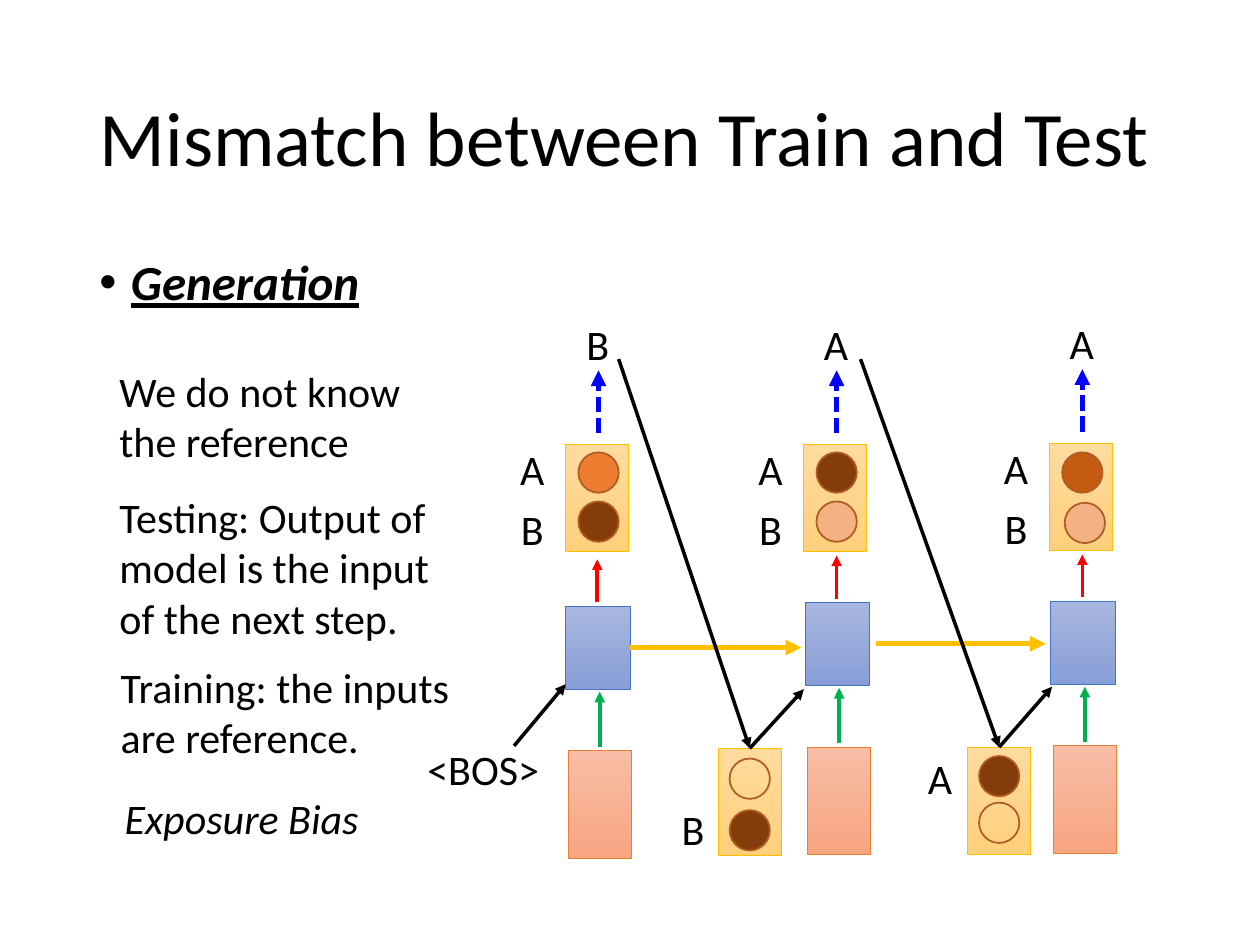
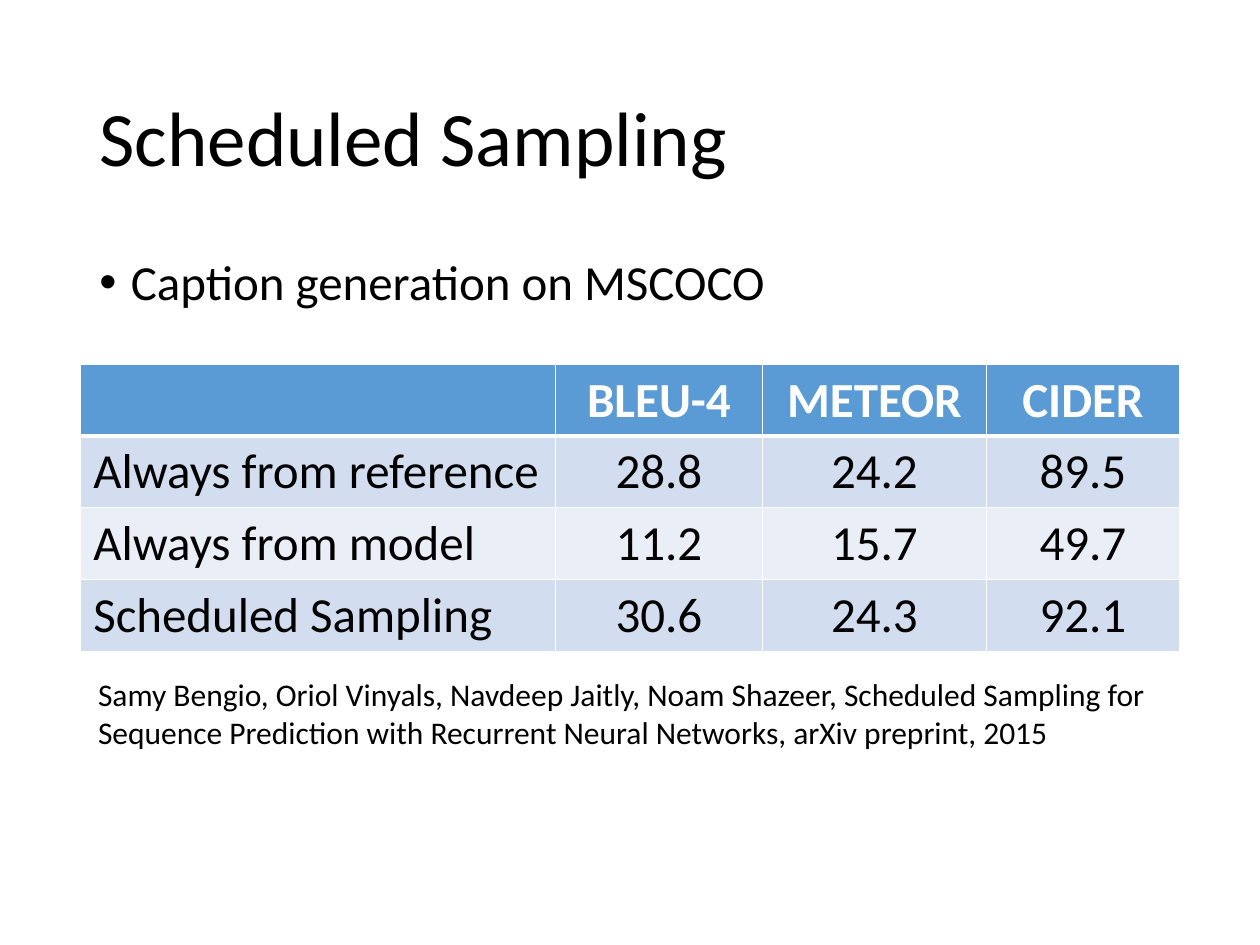
from dataclasses import dataclass

from lxml.etree import SubElement
from pptx import Presentation
from pptx.dml.color import RGBColor
from pptx.enum.dml import MSO_LINE
from pptx.enum.shapes import MSO_CONNECTOR, MSO_SHAPE
from pptx.enum.text import MSO_ANCHOR, MSO_AUTO_SIZE, PP_ALIGN
from pptx.oxml import parse_xml
from pptx.oxml.ns import nsdecls, qn
from pptx.util import Emu, Pt


@dataclass(frozen=True)
class Theme:
    font: str = "Calibri"
    black: str = "000000"
    white: str = "FFFFFF"
    red: str = "FF0000"
    green: str = "00B050"
    gold: str = "FFC000"
    blue: str = "0000FF"
    dark: str = "843C0B"
    rust: str = "C55A11"
    orange: str = "ED7D31"
    peach: str = "F4B183"
    ring: str = "AF5C24"
    token: tuple = ("FFDB9E", "FFD07C", "FFC000")
    cell: tuple = ("A8B7DF", "889ED7", "4472C4")
    source: tuple = ("F7BDA5", "F8A582", "ED7D31")
    header: str = "5B9BD5"
    bands: tuple = ("D2DEEF", "EAEFF7")
    title_size: int = 44
    body_size: int = 28
    text_size: int = 24
    cite_size: int = 18


T = Theme()
SCALE = 9144


def px(*lengths):
    return [Emu(n * SCALE) for n in lengths]


def rgb(colour):
    return RGBColor.from_string(colour)


def style(p, size, colour=T.black, bold=False, italic=False, underline=False):
    for r in p.runs:
        f = r.font
        f.name, f.size, f.color.rgb = T.font, Pt(size), rgb(colour)
        f.bold, f.italic, f.underline = bold, italic, underline


def add_text(s, box, text, size=T.text_size, align=PP_ALIGN.LEFT, wrap=True, **font):
    tf = s.shapes.add_textbox(*px(*box)).text_frame
    tf.word_wrap = wrap
    p = tf.paragraphs[0]
    p.text, p.alignment = text, align
    style(p, size, **font)
    return p


def add_label(s, box, text):
    add_text(s, box, text, align=PP_ALIGN.CENTER)


def add_block(s, box, colours):
    top, bottom, edge = colours
    sp = s.shapes.add_shape(MSO_SHAPE.RECTANGLE, *px(*box))
    sp.shadow.inherit = False
    sp.fill.gradient()
    sp.fill.gradient_angle = 270
    for stop, colour in zip(sp.fill.gradient_stops, (top, bottom)):
        stop.color.rgb = rgb(colour)
    sp.line.color.rgb, sp.line.width = rgb(edge), Pt(0.5)
    return sp


def add_dot(s, x, y, colour):
    sp = s.shapes.add_shape(MSO_SHAPE.OVAL, *px(x, y, 32, 32))
    sp.shadow.inherit = False
    if colour:
        sp.fill.solid()
        sp.fill.fore_color.rgb = rgb(colour)
    else:
        sp.fill.background()
    sp.line.color.rgb, sp.line.width = rgb(T.ring), Pt(1)


def add_arrow(s, start, end, colour=T.black, width=2, dash=None):
    cx = s.shapes.add_connector(MSO_CONNECTOR.STRAIGHT, *px(*start, *end))
    cx.line.color.rgb, cx.line.width = rgb(colour), Pt(width)
    if dash:
        cx.line.dash_style = dash
    SubElement(cx.line._get_or_add_ln(), qn("a:tailEnd"), type="triangle")
    SubElement(cx._element.spPr, qn("a:effectLst"))
    return cx


def add_slide(prs, title, topic, **topic_font):
    s = prs.slides.add_slide(prs.slide_layouts[5])
    sp = s.shapes.title
    sp.left, sp.top, sp.width, sp.height = px(69, 40, 862, 145)
    tf = sp.text_frame
    tf.text = title
    tf.auto_size, tf.vertical_anchor = MSO_AUTO_SIZE.NONE, MSO_ANCHOR.MIDDLE
    p = tf.paragraphs[0]
    p.alignment, p.line_spacing = PP_ALIGN.LEFT, 0.9
    style(p, T.title_size)

    p = add_text(s, (69, 200, 862, 60), topic, T.body_size, **topic_font)
    pPr = p._p.get_or_add_pPr()
    indent = 25 * SCALE
    pPr.set("marL", str(indent))
    pPr.set("indent", str(-indent))
    SubElement(pPr, qn("a:buFont"), typeface="Arial")
    SubElement(pPr, qn("a:buChar"), char="•")
    p.line_spacing = 0.9
    return s


def draw_token(s, box, dots):
    x, y = box
    sp = add_block(s, (x, y, 50, 85), T.token)
    for dx, dy, colour in dots:
        add_dot(s, x + dx, y + dy, colour)
    return sp


def draw_output(s, box, letter, dots):
    x, y = box
    draw_token(s, box, dots)
    for dy, name in ((-6, "A"), (42, "B")):
        add_label(s, (x - 53, y + dy, 53, 50), name)
    add_arrow(s, (x + 26, y - 9), (x + 26, y - 59), T.blue, 3, MSO_LINE.SQUARE_DOT)
    add_label(s, (x - 17, y - 105, 85, 50), letter)


def draw_cell(s, box):
    x, y = box
    sp = add_block(s, (x, y, 51, 66), T.cell)
    add_block(s, (x + 2, y + 115, 50, 85), T.source)
    add_arrow(s, (x + 25, y - 3), (x + 25, y - 37), T.red)
    add_arrow(s, (x + 27, y + 112), (x + 27, y + 68), T.green)
    return sp


def draw_feedback(s, box, letter, label_at, dots, output_at, cell_at):
    x, y = box
    dx, dy = label_at
    top = (x + 25, y)
    sp = draw_token(s, box, dots)
    add_label(s, (x + dx, y + dy, 44, 50), letter)
    add_arrow(s, output_at, top).end_connect(sp, 0)
    add_arrow(s, top, cell_at).begin_connect(sp, 0)


def draw_decoder(s, box):
    x, y = box
    outputs = (
        ((0, 104), "B", ((10, 6, T.orange), (10, 45, T.dark))),
        ((189, 104), "A", ((10, 6, T.dark), (10, 45, T.peach))),
        ((384, 103), "A", ((10, 7, T.rust), (12, 47, T.peach))),
    )
    for (dx, dy), letter, dots in outputs:
        draw_output(s, (x + dx, y + dy), letter, dots)

    cells = [draw_cell(s, (x + dx, y + dy)) for dx, dy in ((0, 232), (190, 229), (385, 228))]
    add_arrow(s, (x + 51, y + 265), (x + 187, y + 265), T.gold, 3).begin_connect(cells[0], 3)
    add_arrow(s, (x + 246, y + 262), (x + 381, y + 262), T.gold, 3)

    draw_feedback(s, (x + 121, y + 345), "B", (-42, 39), ((9, 8, None), (9, 49, T.dark)),
                  (x + 42, y + 36), (x + 189, y + 298))
    draw_feedback(s, (x + 319, y + 344), "A", (-44, -1), ((9, 7, T.dark), (9, 44, None)),
                  (x + 234, y + 36), (x + 386, y + 296))
    add_arrow(s, (x - 41, y + 343), (x, y + 294))
    add_label(s, (x - 126, y + 336, 121, 50), "<BOS>")


def draw_remarks(s, box):
    x, y = box
    add_text(s, (x, y, 280, 91), "We do not know the reference")
    add_text(s, (x, y + 100, 280, 131),
             "Testing: Output of model is the input of the next step.")
    add_text(s, (x + 1, y + 235, 322, 91), "Training: the inputs are reference.")
    add_text(s, (x + 4, y + 339, 213, 50), "Exposure Bias", wrap=False, italic=True)


def set_borders(cell, top, bottom):
    tcPr = cell._tc.get_or_add_tcPr()
    for i, (side, width) in enumerate((("L", 1), ("R", 1), ("T", top), ("B", bottom))):
        tcPr.insert(i, parse_xml(
            f'<a:ln{side} {nsdecls("a")} w="{Pt(width)}"><a:solidFill>'
            f'<a:srgbClr val="{T.white}"/></a:solidFill></a:ln{side}>'))


def draw_scores(s, box):
    rows = (
        ("", "BLEU-4", "METEOR", "CIDER"),
        ("Always from reference", "28.8", "24.2", "89.5"),
        ("Always from model", "11.2", "15.7", "49.7"),
        ("Scheduled Sampling", "30.6", "24.3", "92.1"),
    )
    widths = (377, 164, 178, 153)
    row_height = 57
    x, y = box
    table = s.shapes.add_table(
        len(rows), len(widths), *px(x, y, sum(widths), row_height * len(rows))).table
    for column, width in zip(table.columns, px(*widths)):
        column.width = width
    for i, row in enumerate(rows):
        head = i == 0
        table.rows[i].height = Emu(row_height * SCALE)
        for j, text in enumerate(row):
            cell = table.cell(i, j)
            cell.fill.solid()
            cell.fill.fore_color.rgb = rgb(T.header if head else T.bands[(i - 1) % 2])
            set_borders(cell, 3 if i == 1 else 1, 3 if head else 1)
            p = cell.text_frame.paragraphs[0]
            p.text = text
            if j:
                p.alignment = PP_ALIGN.CENTER
                cell.vertical_anchor = MSO_ANCHOR.MIDDLE
            style(p, T.body_size, T.white if head else T.black, bold=head)


def build_mismatch(prs):
    s = add_slide(prs, "Mismatch between Train and Test", "Generation",
                  bold=True, italic=True, underline=True)
    draw_decoder(s, (449, 249))
    draw_remarks(s, (85, 285))


def build_sampling(prs):
    s = add_slide(prs, "Scheduled Sampling", "Caption generation on MSCOCO")
    draw_scores(s, (64, 289))
    add_text(s, (68, 531, 863, 71),
             "Samy Bengio, Oriol Vinyals, Navdeep Jaitly, Noam Shazeer, Scheduled Sampling for "
             "Sequence Prediction with Recurrent Neural Networks, arXiv preprint, 2015",
             T.cite_size)


def main():
    prs = Presentation()
    prs.slide_width, prs.slide_height = px(1000, 750)
    build_mismatch(prs)
    build_sampling(prs)
    prs.save("out.pptx")


if __name__ == "__main__":
    main()
